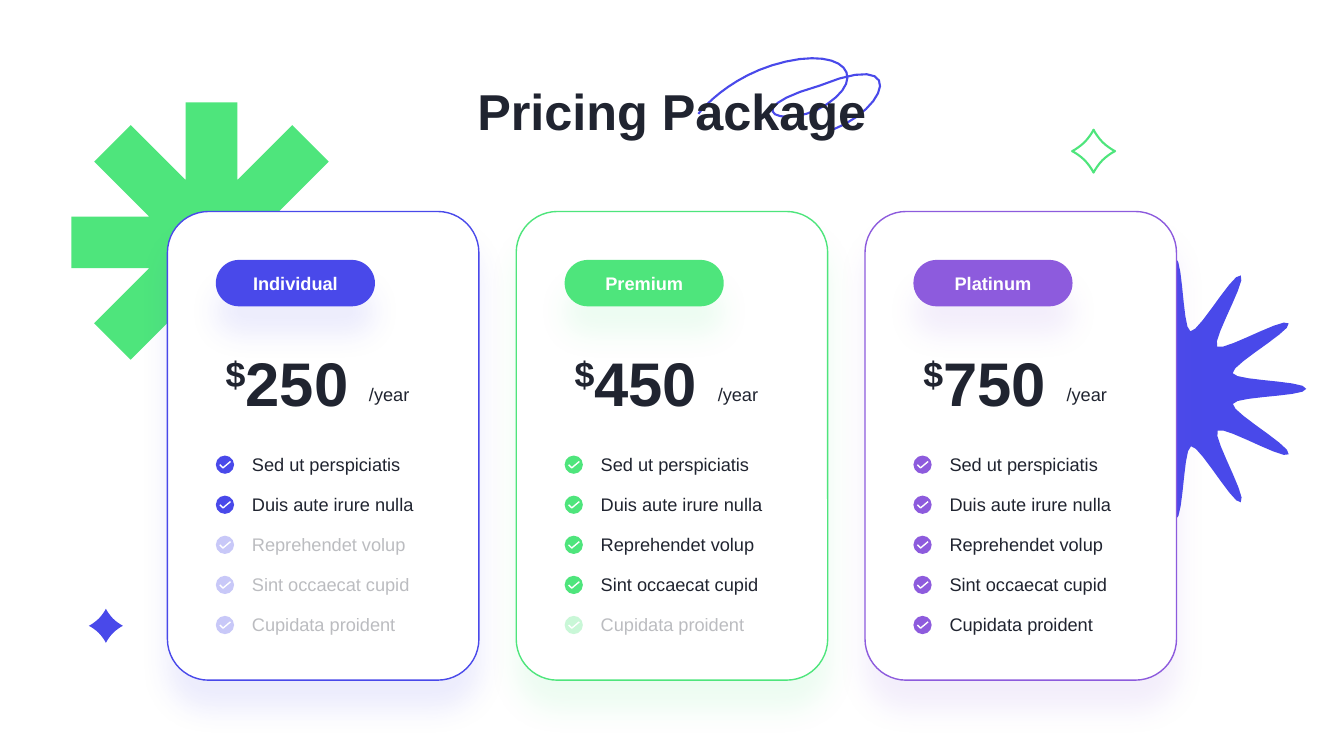
from math import cos, sin, radians, sqrt

from lxml.etree import SubElement
from pptx import Presentation
from pptx.dml.color import RGBColor as Rgb
from pptx.enum.shapes import MSO_SHAPE as Shape
from pptx.enum.text import MSO_AUTO_SIZE as Fit, PP_ALIGN as Align
from pptx.oxml.ns import qn
from pptx.util import Cm, Pt

HUES = {
    "blue": "4949EA",
    "green": "4EE57C",
    "purple": "8D5BDD",
    "ink": "202430",
    "white": "FFFFFF",
}
FONT = "Arial"
PERKS = [
    "Sed ut perspiciatis",
    "Duis aute irure nulla",
    "Reprehendet volup",
    "Sint occaecat cupid",
    "Cupidata proident",
]
# name, price, hue, number of perks included
PLANS = [
    ("Individual", "250", "blue", 2),
    ("Premium", "450", "green", 4),
    ("Platinum", "750", "purple", 5),
]
CARD_LEFT, CARD_TOP, CARD_STEP = 4.22, 5.33, 8.79
PERK_TOP, PERK_STEP = 11.71, 1.01

# Curves: a start point, then two handles and an end for each piece.
LOOP = [
    (20.96, 3.28), (22.38, 2.74), (22.89, 1.24), (20.65, 2.16),
    (18.42, 2.79), (19.84, 3.3), (20.85, 2.62),
    (21.87, 1.93), (21.26, 1.22), (19.81, 1.55),
    (18.34, 1.88), (17.6, 2.87), (17.6, 2.87),
]
RAY = [
    (0, -3.3), (0.2, -3.3), (0.18, -1.5), (0.38, -1.45),
    (0.58, -1.4), (1.47, -2.97), (1.65, -2.86),
]
GLINT = [
    (0, -1), (0.08, -0.84), (0.24, -0.6), (0.42, -0.42),
    (0.6, -0.24), (0.84, -0.08), (1, 0),
]
TICK = [(-0.13, 0), (-0.05, 0.08), (0.14, -0.08)]


def smooth(curve, steps):
    """Turn a chain of cubic curves into a list of points."""
    dots = [curve[0]]
    for i in range(0, len(curve) - 1, 3):
        part = curve[i:i + 4]
        for n in range(1, steps + 1):
            t = n / steps
            mix = ((1 - t) ** 3, 3 * t * (1 - t) ** 2, 3 * t * t * (1 - t), t ** 3)
            dots.append(tuple(sum(m * p[k] for m, p in zip(mix, part)) for k in (0, 1)))
    return dots


def spin(dots, count):
    """Repeat the points around the origin, count times in a full turn."""
    turns = [radians(360 * n / count) for n in range(count)]
    return [(x * cos(a) - y * sin(a), x * sin(a) + y * cos(a))
            for a in turns for x, y in dots]


def shift(dots, x, y, scale=1):
    return [(x + scale * dx, y + scale * dy) for dx, dy in dots]


def fade(node, share):
    """Make the colours inside an XML node see-through."""
    for tint in node.iter(qn("a:srgbClr")):
        SubElement(tint, qn("a:alpha")).set("val", str(share * 1000))


def paint(shape, fill=None, line=None, width=1, share=100):
    if fill:
        shape.fill.solid()
        shape.fill.fore_color.rgb = Rgb.from_string(HUES[fill])
        if share < 100:
            fade(shape._element.spPr, share)
    else:
        shape.fill.background()
    if line:
        shape.line.color.rgb = Rgb.from_string(HUES[line])
        shape.line.width = Pt(width)
    else:
        shape.line.fill.background()
    shape.shadow.inherit = False
    return shape


def glow(shape, hue):
    """Drop a soft tinted shadow straight down."""
    drop = SubElement(shape._element.spPr.find(qn("a:effectLst")), qn("a:outerShdw"))
    marks = {"blurRad": Pt(20), "dist": Pt(20), "dir": 90 * 60000, "algn": "t", "rotWithShape": 0}
    for key, value in marks.items():
        drop.set(key, str(value))
    SubElement(drop, qn("a:srgbClr")).set("val", HUES[hue])
    fade(drop, 10)


def trace(slide, dots, close=True, **style):
    """Draw a freeform through points in centimetres."""
    first, *rest = [(Cm(x), Cm(y)) for x, y in dots]
    pen = slide.shapes.build_freeform(*first)
    pen.add_line_segments(rest, close=close)
    return paint(pen.convert_to_shape(), **style)


def block(slide, kind, x, y, w, h, **style):
    shape = slide.shapes.add_shape(kind, Cm(x), Cm(y), Cm(w), Cm(h))
    return paint(shape, **style)


def panel(slide, x, y, w, h, bend, **style):
    shape = block(slide, Shape.ROUNDED_RECTANGLE, x, y, w, h, **style)
    shape.adjustments[0] = bend
    return shape


def box(slide, x, y, w, h, wrap=True):
    area = slide.shapes.add_textbox(Cm(x), Cm(y), Cm(w), Cm(h))
    area.text_frame.word_wrap = wrap
    area.text_frame.auto_size = Fit.SHAPE_TO_FIT_TEXT
    return area


def write(shape, text, size=13, hue="ink", bold=False, align=Align.LEFT, share=100, lift=0):
    """Add a run of text to the first paragraph of a shape."""
    line = shape.text_frame.paragraphs[0]
    line.alignment = align
    run = line.add_run()
    run.text = text
    font = run.font
    font.name, font.size, font.bold = FONT, Pt(size), bold
    font.color.rgb = Rgb.from_string(HUES[hue])
    if share < 100:
        fade(run._r.rPr, share)
    if lift:
        run._r.rPr.set("baseline", str(lift * 1000))


def perk(slide, x, y, text, hue, share):
    block(slide, Shape.OVAL, x - 0.23, y - 0.23, 0.46, 0.46, fill=hue, share=share)
    trace(slide, shift(TICK, x, y), close=False, line="white")
    write(box(slide, x + 0.43, y - 0.41, 5.16, 0.81), text, share=share)


def card(slide, x, name, price, hue, count):
    glow(panel(slide, x, CARD_TOP, 7.85, 11.81, 0.132, fill="white", line=hue), hue)
    cost = box(slide, x + 1.22, 8.56, 3.96, 2.13, wrap=False)
    write(cost, "$", size=44, bold=True, lift=30)
    write(cost, price, size=44, bold=True)
    for n, text in enumerate(PERKS):
        share = 100 if n < count else 30
        perk(slide, x + 1.45, PERK_TOP + n * PERK_STEP, text, hue, share)
    pill = panel(slide, x + 1.22, 6.55, 4.01, 1.17, 0.5, fill=hue)
    glow(pill, hue)
    write(pill, name, hue="white", bold=True, align=Align.CENTER)
    write(box(slide, x + 4.83, 9.53, 2.03, 0.81), "/year")


def main():
    deck = Presentation()
    deck.slide_width, deck.slide_height = Cm(33.87), Cm(19.05)
    slide = deck.slides.add_slide(deck.slide_layouts[6])

    trace(slide, smooth(LOOP, 12), close=False, line="blue", width=1.5)
    half, reach = 0.65, 3.53
    arm = [(reach, -half), (reach, half), (half * (1 + sqrt(2)), half)]
    trace(slide, shift(spin(arm, 8), 5.33, 6.11), fill="green")
    trace(slide, shift(spin(smooth(RAY, 7)[:-1], 12), 29.62, 9.8), fill="blue")

    title = box(slide, 11.46, 1.9, 10.95, 1.8)
    write(title, "Pricing Package", size=36, bold=True, align=Align.CENTER)
    for n, plan in enumerate(PLANS):
        card(slide, CARD_LEFT + n * CARD_STEP, *plan)

    star = spin(smooth(GLINT, 4)[:-1], 4)
    trace(slide, shift(star, 27.56, 3.81, 0.54), line="green", width=1.5)
    trace(slide, shift(star, 2.67, 15.77, 0.43), fill="blue")
    deck.save("out.pptx")


if __name__ == "__main__":
    main()
